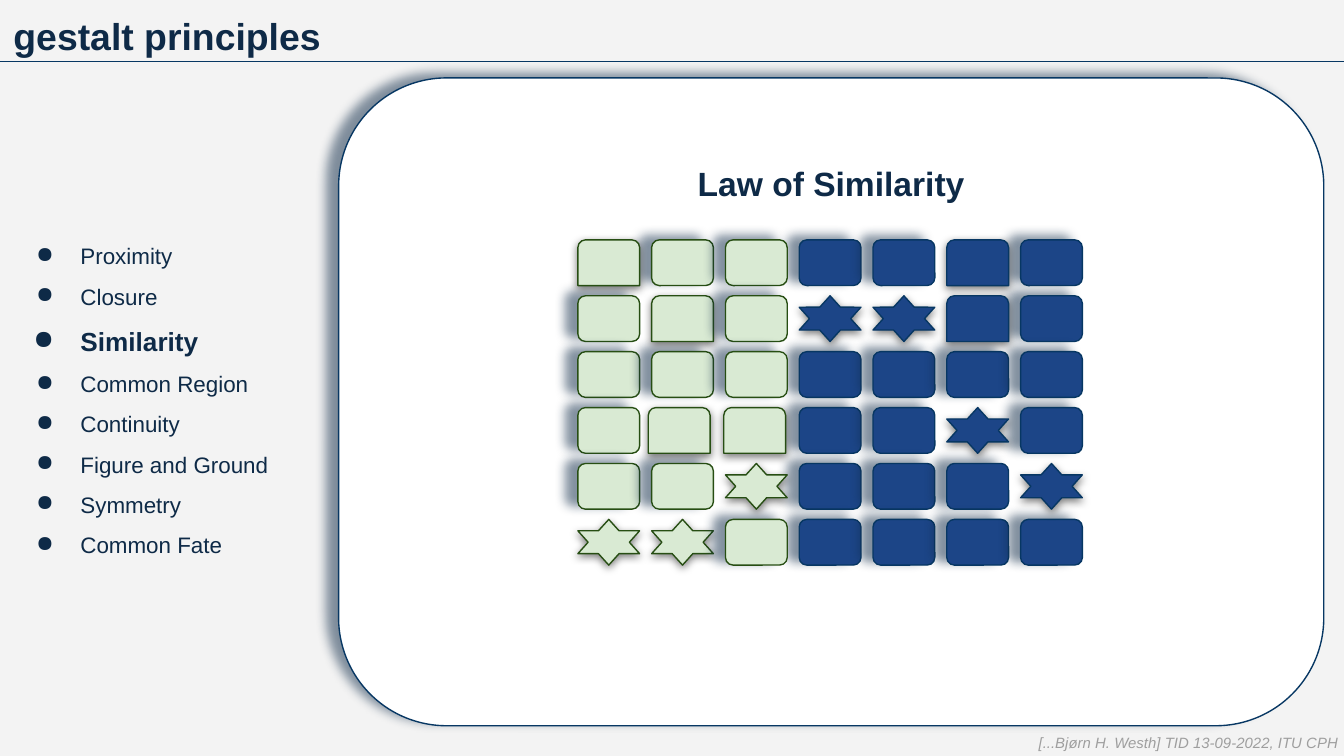
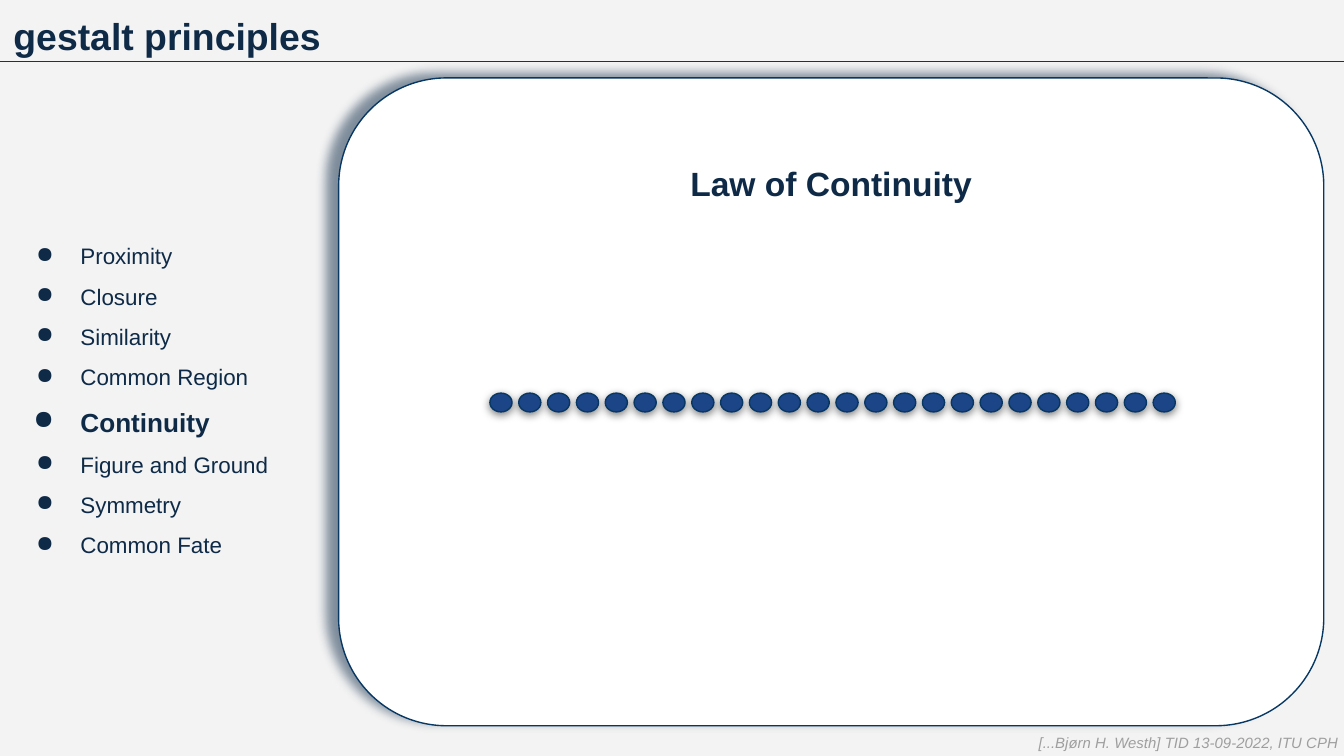
from dataclasses import dataclass

from lxml import etree
from pptx import Presentation
from pptx.dml.color import RGBColor
from pptx.enum.shapes import MSO_CONNECTOR, MSO_SHAPE
from pptx.enum.text import MSO_ANCHOR, MSO_AUTO_SIZE, PP_ALIGN
from pptx.oxml.ns import qn
from pptx.shapes.autoshape import Shape
from pptx.slide import Slide
from pptx.text.text import TextFrame, _Paragraph
from pptx.util import Emu, Inches, Pt

# Grid: 100 columns by 56.25 rows
SLIDE_WIDTH, SLIDE_HEIGHT = Inches(10), Inches(5.625)
COLUMN, ROW = SLIDE_WIDTH / 100, SLIDE_HEIGHT / 56.25

# Colours
PAPER = RGBColor(0xF3, 0xF3, 0xF3)
WHITE = RGBColor(0xFF, 0xFF, 0xFF)
INK = RGBColor(0x0E, 0x2A, 0x47)
BLACK = RGBColor(0x00, 0x00, 0x00)
NAVY = RGBColor(0x07, 0x37, 0x63)
BLUE = RGBColor(0x1C, 0x45, 0x87)
LIGHT_GREEN = RGBColor(0xD9, 0xEA, 0xD3)
DARK_GREEN = RGBColor(0x27, 0x4E, 0x13)
GREY = RGBColor(0x9E, 0x9E, 0x9E)

# Enum members
RECTANGLE = MSO_SHAPE.RECTANGLE
ROUNDED = MSO_SHAPE.ROUNDED_RECTANGLE
TAB = MSO_SHAPE.ROUND_2_SAME_RECTANGLE
STAR = MSO_SHAPE.STAR_6_POINT
DOT = MSO_SHAPE.FLOWCHART_CONNECTOR
STRAIGHT = MSO_CONNECTOR.STRAIGHT
TOP, MIDDLE = MSO_ANCHOR.TOP, MSO_ANCHOR.MIDDLE
LEFT, CENTER = PP_ALIGN.LEFT, PP_ALIGN.CENTER
NO_AUTOFIT = MSO_AUTO_SIZE.NONE

FONT = "Arial"
TITLE = "gestalt principles"
FOOTER = "[...Bjørn H. Westh] TID 13-09-2022, ITU CPH"
PRINCIPLES = (
    "Proximity", "Closure", "Similarity", "Common Region",
    "Continuity", "Figure and Ground", "Symmetry", "Common Fate",
)


@dataclass(frozen=True)
class Box:
    """A place on the slide, in grid columns and rows."""
    left: float
    top: float
    width: float
    height: float

    def place(self) -> tuple[Emu, Emu, Emu, Emu]:
        return (Emu(round(self.left * COLUMN)), Emu(round(self.top * ROW)),
                Emu(round(self.width * COLUMN)), Emu(round(self.height * ROW)))


@dataclass(frozen=True)
class Shadow:
    color: RGBColor
    opacity: int
    blur: float
    distance: float
    angle: int


@dataclass(frozen=True)
class Style:
    fill: RGBColor
    line: RGBColor | None = None
    shadow: Shadow | None = None


@dataclass(frozen=True)
class TextStyle:
    size: float
    color: RGBColor = INK
    bold: bool = False
    italic: bool = False


SIDE_SHADOW = Shadow(INK, 51, 5.6, 6.8, 199)
DROP_SHADOW = Shadow(BLACK, 50, 4.5, 1.5, 90)

TITLE_BOX = Box(0, 0, 100, 5)
SIDEBAR_BOX = Box(0, 5, 25.2, 48.6)
PANEL_BOX = Box(25.2, 5.8, 73.3, 48.2)
FOOTER_BOX = Box(76.3, 53.6, 24.7, 3.4)
RULE_ROW = 4.6

# Similarity tiles: R rounded, T tab, S star
TILE_ROWS = ("TRRRRTR", "RTRSSTR", "RRRRRRR", "RTTRRSR", "RRSRRRS", "SSRRRRR")
TILE_SHAPES = {"R": ROUNDED, "T": TAB, "S": STAR}
TILE_GROUPS = ((0, 1, 3, 4, 5, 6), (2,))
TILE_NUDGES = {(3, 1): -0.25, (3, 2): -0.12}
GREEN_COLUMNS = 3
FIRST_TILE = Box(43, 17.85, 4.6, 3.4)
TILE_PITCH_X, TILE_PITCH_Y = 5.49, 4.16

# Continuity dots
DOT_COUNT = 24
FIRST_DOT, LAST_DOT_LEFT = Box(36.45, 29.25, 1.65, 1.4), 85.8


def add_shadow(shape: Shape, shadow: Shadow) -> None:
    effects = shape._element.spPr.find(qn("a:effectLst"))
    outer = etree.SubElement(
        effects, qn("a:outerShdw"), blurRad=str(Pt(shadow.blur)),
        dist=str(Pt(shadow.distance)), dir=str(shadow.angle * 60000),
        algn="bl", rotWithShape="0")
    color = etree.SubElement(outer, qn("a:srgbClr"), val=str(shadow.color))
    etree.SubElement(color, qn("a:alpha"), val=str(shadow.opacity * 1000))


def add_box(slide: Slide, kind: MSO_SHAPE, box: Box, style: Style) -> Shape:
    shape = slide.shapes.add_shape(kind, *box.place())
    shape.shadow.inherit = False
    shape.fill.solid()
    shape.fill.fore_color.rgb = style.fill
    if style.line is None:
        shape.line.fill.background()
    else:
        shape.line.color.rgb = style.line
        shape.line.width = Pt(0.75)
    if style.shadow is not None:
        add_shadow(shape, style.shadow)
    return shape


def prepare_frame(frame: TextFrame, anchor: MSO_ANCHOR = TOP) -> None:
    frame.word_wrap = True
    frame.auto_size = NO_AUTOFIT
    frame.vertical_anchor = anchor
    frame.margin_left = frame.margin_right = Inches(0.1)
    frame.margin_top = frame.margin_bottom = Inches(0.1)


def add_run(paragraph: _Paragraph, text: str, style: TextStyle) -> None:
    run = paragraph.add_run()
    run.text = text
    run.font.name = FONT
    run.font.size = Pt(style.size)
    run.font.color.rgb = style.color
    run.font.bold = style.bold
    run.font.italic = style.italic


def add_bullet(paragraph: _Paragraph, indent: float) -> None:
    properties = paragraph._p.get_or_add_pPr()
    properties.set("marL", str(Inches(0.5)))
    properties.set("indent", str(Inches(-indent)))
    color = etree.SubElement(properties, qn("a:buClr"))
    etree.SubElement(color, qn("a:srgbClr"), val=str(INK))
    etree.SubElement(properties, qn("a:buChar"), char="●")


def add_title(slide: Slide) -> None:
    title = slide.shapes.title
    title.left, title.top, title.width, title.height = TITLE_BOX.place()
    prepare_frame(title.text_frame)
    paragraph = title.text_frame.paragraphs[0]
    paragraph.alignment = LEFT
    add_run(paragraph, TITLE, TextStyle(20, bold=True))


def add_sidebar(slide: Slide, current: str) -> None:
    frame = add_box(slide, RECTANGLE, SIDEBAR_BOX, Style(PAPER)).text_frame
    prepare_frame(frame, MIDDLE)
    for index, principle in enumerate(PRINCIPLES):
        active = principle == current
        paragraph = frame.add_paragraph() if index else frame.paragraphs[0]
        add_bullet(paragraph, 0.35 if active else 0.33)
        paragraph.alignment = LEFT
        paragraph.line_spacing = 1.5
        add_run(paragraph, principle, TextStyle(14 if active else 12, bold=active))


def add_panel(slide: Slide, heading: str) -> None:
    panel = add_box(slide, ROUNDED, PANEL_BOX, Style(WHITE, NAVY, SIDE_SHADOW))
    prepare_frame(panel.text_frame)
    paragraph = panel.text_frame.paragraphs[0]
    paragraph.alignment = CENTER
    paragraph.line_spacing = 2.0
    add_run(paragraph, heading, TextStyle(18, bold=True))


def add_rule(slide: Slide) -> None:
    height = Emu(round(RULE_ROW * ROW))
    rule = slide.shapes.add_connector(STRAIGHT, 0, height, SLIDE_WIDTH, height)
    rule.line.color.rgb = NAVY
    rule.line.width = Pt(0.75)
    etree.SubElement(rule._element.spPr, qn("a:effectLst"))


def add_footer(slide: Slide) -> None:
    frame = slide.shapes.add_textbox(*FOOTER_BOX.place()).text_frame
    prepare_frame(frame)
    add_run(frame.paragraphs[0], FOOTER, TextStyle(8, GREY, italic=True))


def add_tile(slide: Slide, row: int, column: int) -> None:
    kind = TILE_ROWS[row][column]
    fill, line = (LIGHT_GREEN, DARK_GREEN) if column < GREEN_COLUMNS else (BLUE, NAVY)
    left = FIRST_TILE.left + column * TILE_PITCH_X + TILE_NUDGES.get((row, column), 0)
    top = FIRST_TILE.top + row * TILE_PITCH_Y
    tile = add_box(slide, TILE_SHAPES[kind],
                   Box(left, top, FIRST_TILE.width, FIRST_TILE.height),
                   Style(fill, line, SIDE_SHADOW if kind == "R" else DROP_SHADOW))
    if kind == "T":
        tile.adjustments[0] = 0.17


def draw_similarity(slide: Slide) -> None:
    # Rounded tiles lie under the others, so their wide shadows stay behind
    for columns in TILE_GROUPS:
        for kinds in ("R", "TS"):
            for column in columns:
                for row, tiles in enumerate(TILE_ROWS):
                    if tiles[column] in kinds:
                        add_tile(slide, row, column)


def draw_continuity(slide: Slide) -> None:
    pitch = (LAST_DOT_LEFT - FIRST_DOT.left) / (DOT_COUNT - 1)
    for index in range(DOT_COUNT):
        box = Box(FIRST_DOT.left + index * pitch, FIRST_DOT.top,
                  FIRST_DOT.width, FIRST_DOT.height)
        add_box(slide, DOT, box, Style(BLUE, NAVY, DROP_SHADOW))


def main() -> None:
    presentation = Presentation()
    presentation.slide_width, presentation.slide_height = SLIDE_WIDTH, SLIDE_HEIGHT
    background = presentation.slide_master.background.fill
    background.solid()
    background.fore_color.rgb = PAPER
    title_only = presentation.slide_layouts[5]

    for principle, draw in (("Similarity", draw_similarity),
                            ("Continuity", draw_continuity)):
        slide = presentation.slides.add_slide(title_only)
        add_title(slide)
        add_sidebar(slide, principle)
        add_panel(slide, f"Law of {principle}")
        add_rule(slide)
        draw(slide)
        add_footer(slide)

    presentation.save("out.pptx")


if __name__ == "__main__":
    main()
